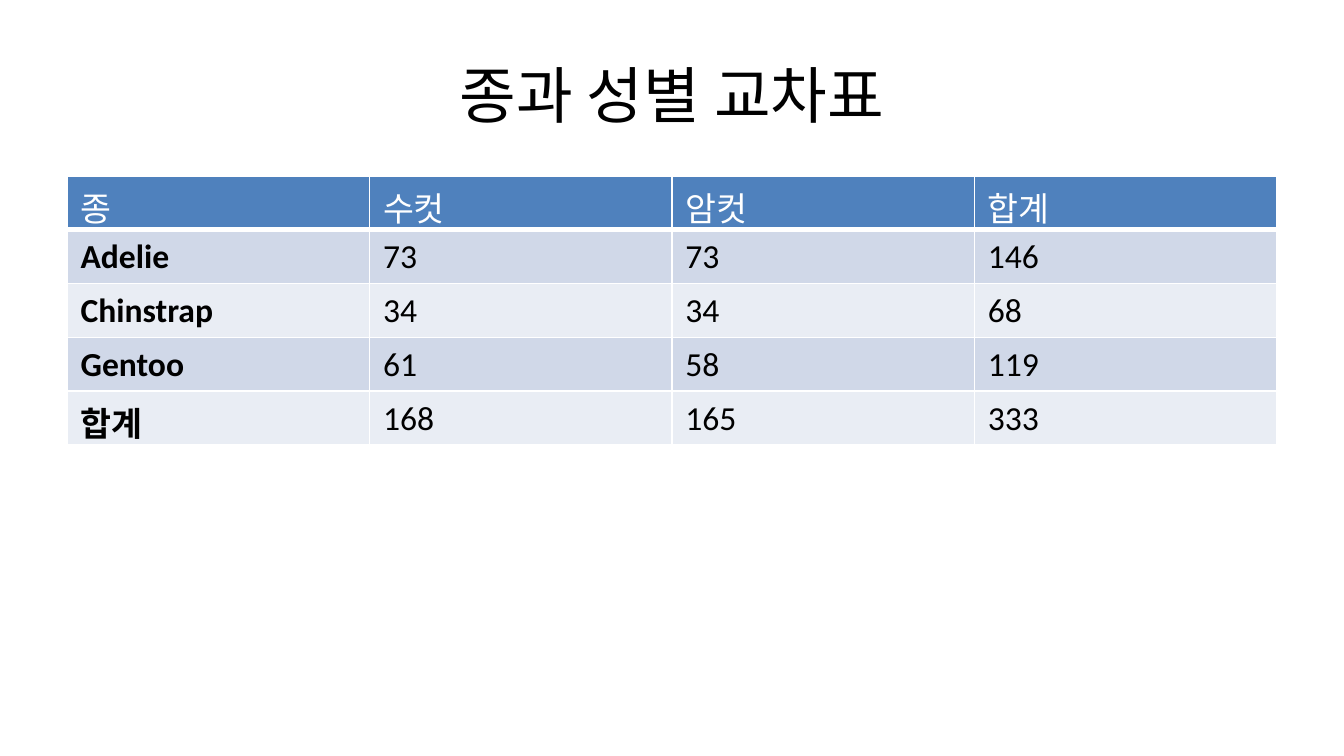
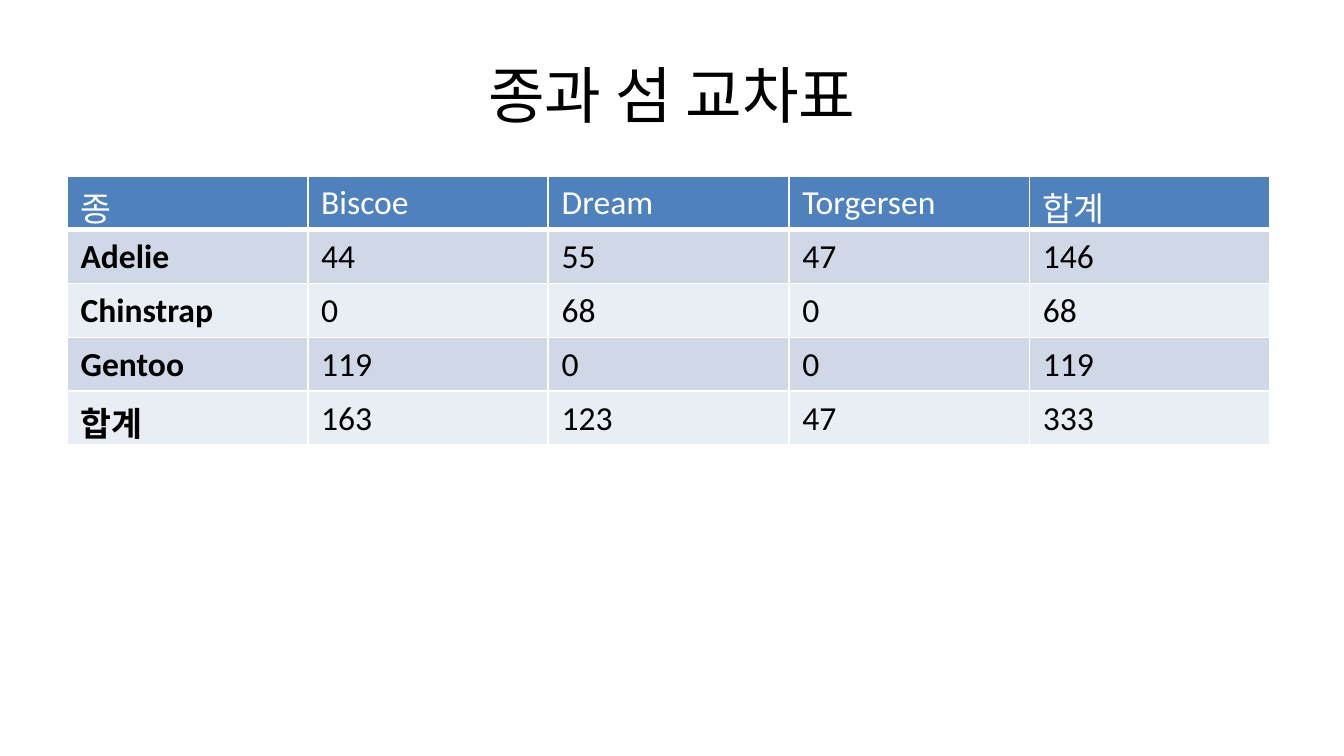
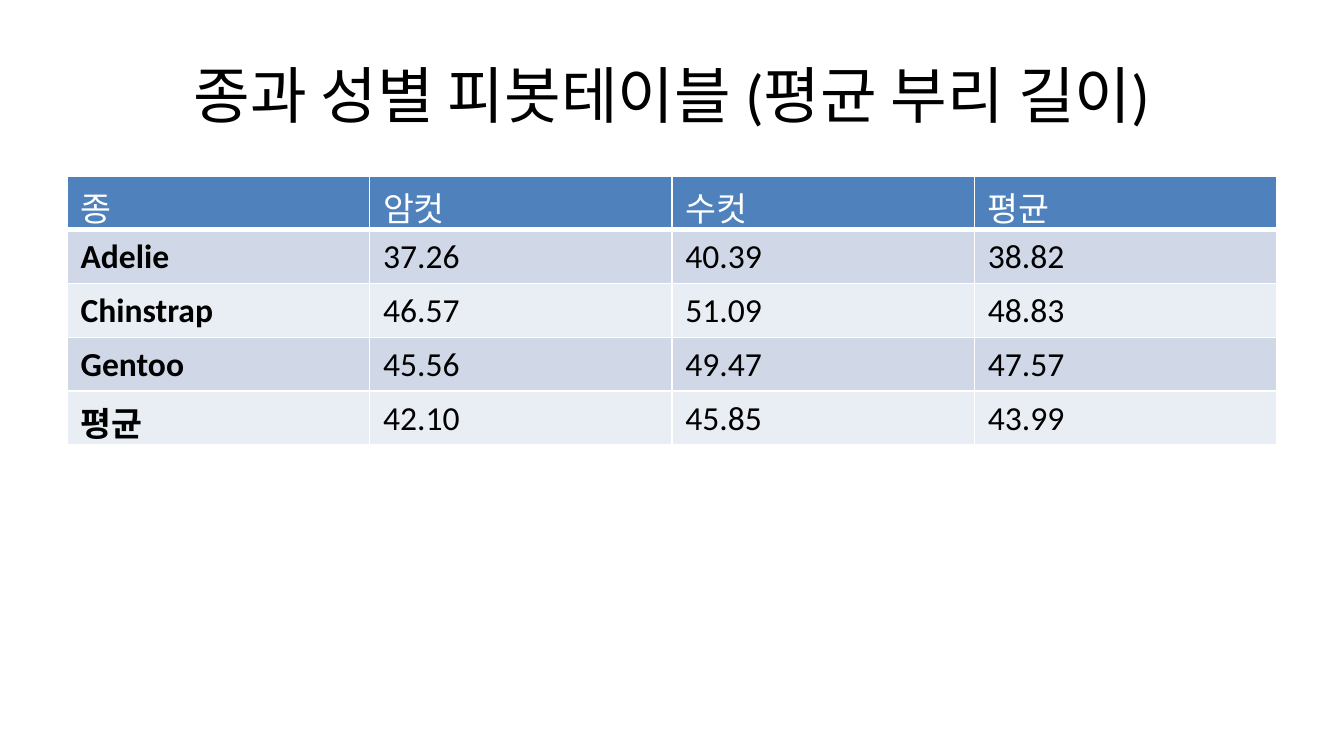
from lxml.etree import SubElement
from pptx import Presentation
from pptx.dml.color import RGBColor
from pptx.enum.text import MSO_ANCHOR, PP_ALIGN
from pptx.oxml.ns import qn
from pptx.util import Pt

PX = 4572  # EMU per px, 200 px to the inch
SLIDE_WIDTH, SLIDE_HEIGHT = 2000, 1125
MARGIN = 100
CONTENT_WIDTH = SLIDE_WIDTH - 2 * MARGIN
TITLE_TOP, TITLE_HEIGHT = 46, 188
TABLE_TOP, TABLE_HEIGHT = 262, 742

FONT = "Calibri"
TITLE_SIZE, CELL_SIZE = 33, 18
BLACK = RGBColor(0x00, 0x00, 0x00)
WHITE = RGBColor(0xFF, 0xFF, 0xFF)
HEADER_FILL = RGBColor(0x4F, 0x81, 0xBD)
BAND_FILLS = (RGBColor(0xE9, 0xED, 0xF4), RGBColor(0xD0, 0xD8, 0xE8))

SEX_COLUMN, ISLAND_COLUMN = 450, 358
TABLES = [
    ("종과 성별 교차표", SEX_COLUMN, [
        ("종", "수컷", "암컷", "합계"),
        ("Adelie", "73", "73", "146"),
        ("Chinstrap", "34", "34", "68"),
        ("Gentoo", "61", "58", "119"),
        ("합계", "168", "165", "333"),
    ]),
    ("종과 섬 교차표", ISLAND_COLUMN, [
        ("종", "Biscoe", "Dream", "Torgersen", "합계"),
        ("Adelie", "44", "55", "47", "146"),
        ("Chinstrap", "0", "68", "0", "68"),
        ("Gentoo", "119", "0", "0", "119"),
        ("합계", "163", "123", "47", "333"),
    ]),
    ("종과 성별 피봇테이블 (평균 부리 길이)", SEX_COLUMN, [
        ("종", "암컷", "수컷", "평균"),
        ("Adelie", "37.26", "40.39", "38.82"),
        ("Chinstrap", "46.57", "51.09", "48.83"),
        ("Gentoo", "45.56", "49.47", "47.57"),
        ("평균", "42.10", "45.85", "43.99"),
    ]),
]


def format_text(paragraph, size, color, bold=False):
    for span in paragraph.runs:
        span.font.name = FONT
        span.font.size = Pt(size)
        span.font.bold = bold
        span.font.color.rgb = color


def add_title(page, text):
    box = page.shapes.add_textbox(
        MARGIN * PX, TITLE_TOP * PX, CONTENT_WIDTH * PX, TITLE_HEIGHT * PX)
    frame = box.text_frame
    frame.word_wrap = True
    frame.vertical_anchor = MSO_ANCHOR.MIDDLE
    frame.text = text
    para = frame.paragraphs[0]
    para.alignment = PP_ALIGN.CENTER
    format_text(para, TITLE_SIZE, BLACK)


def set_borders(cell, bottom_width):
    """Draw white lines of 1 pt, with a bottom line of its own width."""
    properties = cell._tc.get_or_add_tcPr()
    for side, width in (("L", 1), ("R", 1), ("T", 1), ("B", bottom_width)):
        line = SubElement(properties, qn(f"a:ln{side}"), w=str(Pt(width)))
        fill = SubElement(line, qn("a:solidFill"))
        SubElement(fill, qn("a:srgbClr"), val=str(WHITE))


def fill_cell(cell, text, row, column):
    header = row == 0
    set_borders(cell, 3 if header else 1)
    cell.fill.solid()
    cell.fill.fore_color.rgb = HEADER_FILL if header else BAND_FILLS[row % 2]
    cell.text_frame.text = text
    format_text(cell.text_frame.paragraphs[0], CELL_SIZE,
                WHITE if header else BLACK,
                bold=column == 0 and not header)


def add_crosstab(page, rows, column_width):
    """Add a table whose rows shrink to the height of their text."""
    frame = page.shapes.add_table(
        len(rows), len(rows[0]), MARGIN * PX, TABLE_TOP * PX,
        CONTENT_WIDTH * PX, TABLE_HEIGHT * PX)
    table = frame.table
    for column in table.columns:
        column.width = column_width * PX
    for row, values in enumerate(rows):
        table.rows[row].height = 0
        for column, text in enumerate(values):
            fill_cell(table.cell(row, column), text, row, column)
    frame.width = CONTENT_WIDTH * PX
    frame.height = TABLE_HEIGHT * PX


def main():
    deck = Presentation()
    deck.slide_width = SLIDE_WIDTH * PX
    deck.slide_height = SLIDE_HEIGHT * PX
    blank = deck.slide_layouts[6]
    for title, column_width, rows in TABLES:
        page = deck.slides.add_slide(blank)
        add_title(page, title)
        add_crosstab(page, rows, column_width)
    deck.save("out.pptx")


if __name__ == "__main__":
    main()
